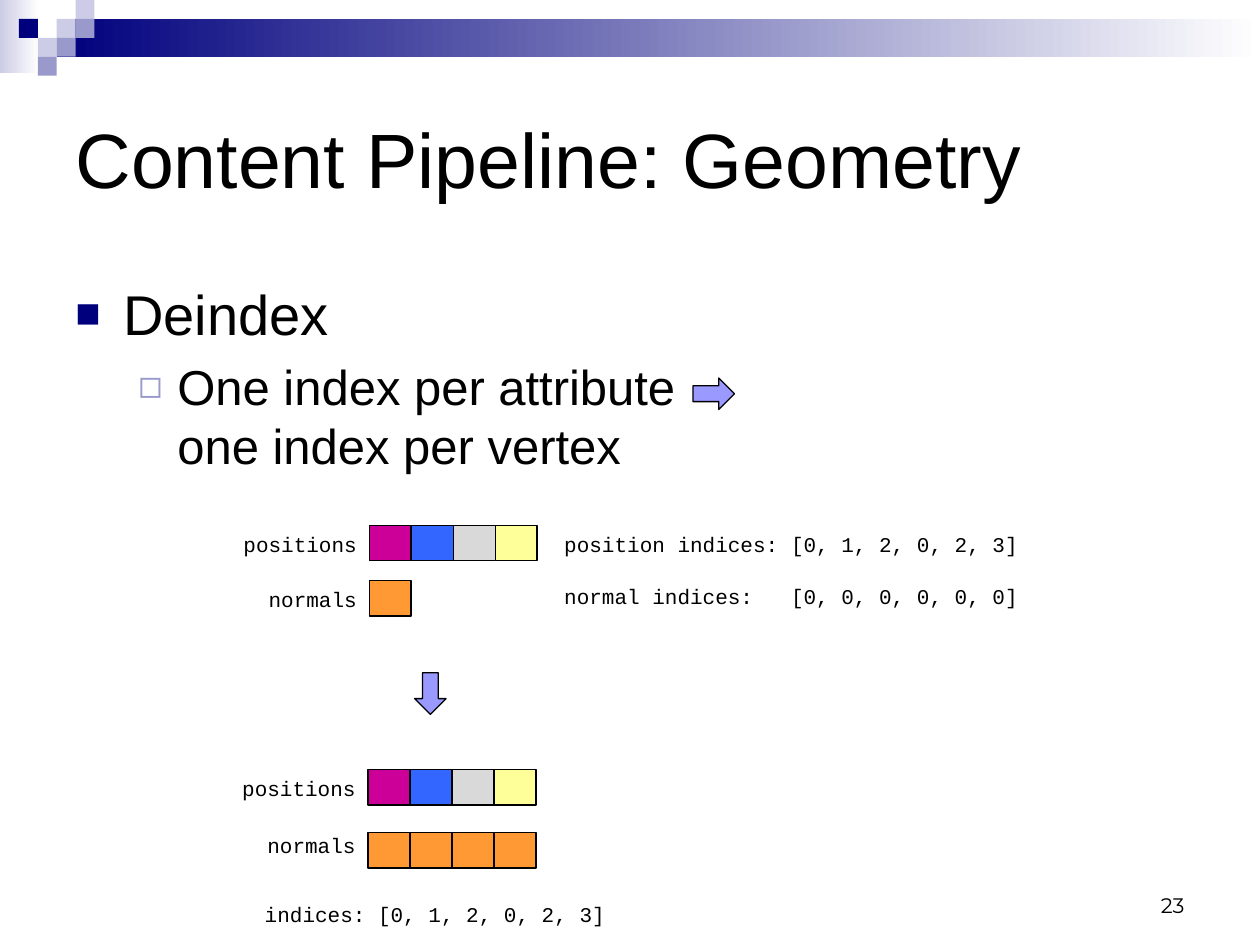
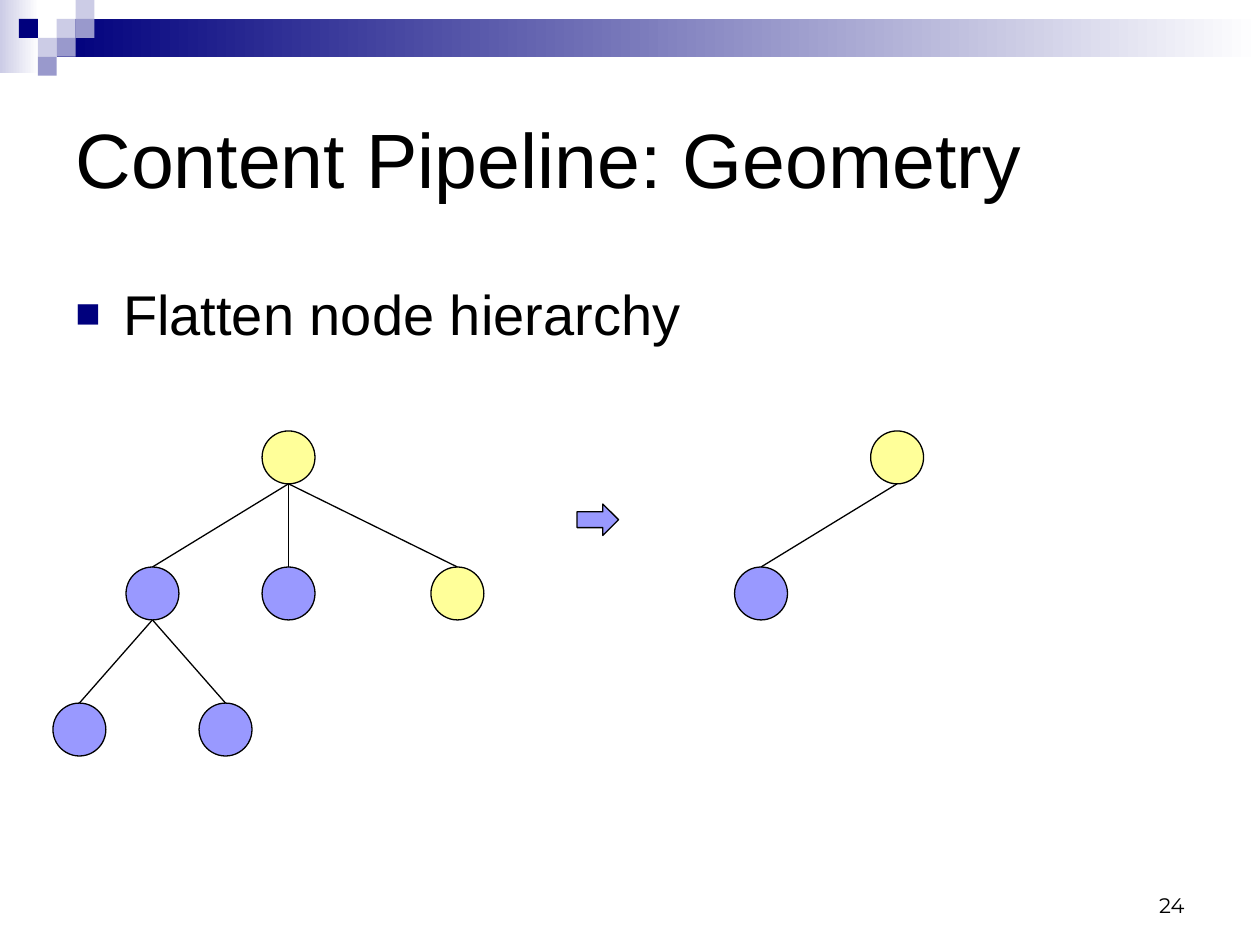
from lxml.etree import SubElement
from pptx import Presentation
from pptx.dml.color import RGBColor
from pptx.enum.shapes import MSO_CONNECTOR, MSO_SHAPE
from pptx.enum.text import MSO_ANCHOR, MSO_AUTO_SIZE, PP_ALIGN
from pptx.oxml.ns import qn
from pptx.util import Inches, Pt

BLACK = RGBColor(0x00, 0x00, 0x00)
WHITE = RGBColor(0xFF, 0xFF, 0xFF)
NAVY = RGBColor(0x00, 0x00, 0x7D)
LAVENDER = RGBColor(0xCC, 0xCC, 0xE6)
GREY_BLUE = RGBColor(0x99, 0x99, 0xCC)
PERIWINKLE = RGBColor(0x99, 0x99, 0xFF)
MAGENTA = RGBColor(0xCC, 0x00, 0x99)
BLUE = RGBColor(0x33, 0x66, 0xFF)
GREY = RGBColor(0xD9, 0xD9, 0xD9)
YELLOW = RGBColor(0xFF, 0xFF, 0x99)
ORANGE = RGBColor(0xFF, 0x99, 0x33)

POSITION_COLORS = [MAGENTA, BLUE, GREY, YELLOW]
TITLE = "Content Pipeline: Geometry"
TITLE_ONLY = 5
CELL_WIDTH, CELL_HEIGHT = 1 / 3, 0.28
ARROW_WIDTH, ARROW_HEIGHT = 0.33, 0.25
NODE_SIZE = 0.42
SQUARE = 0.15

# Per outline level: left margin, hanging indent, size, bullet, its colour and percentage
OUTLINE_LEVELS = [
    (0.38, -0.38, 32, "■", NAVY, 75),
    (0.81, -0.31, 28, "◻", GREY_BLUE, 80),
]


def inches(*lengths):
    return [Inches(length) for length in lengths]


def write(paragraph, text, font="Arial", size=12, align=PP_ALIGN.LEFT):
    paragraph.alignment = align
    run = paragraph.add_run()
    run.text = text
    run.font.name = font
    run.font.size = Pt(size)
    run.font.color.rgb = BLACK


def add_text_frame(slide, box, anchor=MSO_ANCHOR.TOP):
    frame = slide.shapes.add_textbox(*inches(*box)).text_frame
    frame.word_wrap = True
    frame.vertical_anchor = anchor
    return frame


def add_code(slide, box, text, align=PP_ALIGN.RIGHT):
    paragraph = add_text_frame(slide, box).paragraphs[0]
    write(paragraph, text, font="Courier New", align=align)
    return paragraph


def add_shape(slide, preset, box, color, outlined=True):
    shape = slide.shapes.add_shape(preset, *inches(*box))
    shape.shadow.inherit = False
    shape.fill.solid()
    shape.fill.fore_color.rgb = color
    if outlined:
        shape.line.color.rgb = BLACK
        shape.line.width = Pt(0.75)
    else:
        shape.line.fill.background()
    return shape


def add_arrow(slide, left, top, rotation=0):
    box = (left, top, ARROW_WIDTH, ARROW_HEIGHT)
    add_shape(slide, MSO_SHAPE.RIGHT_ARROW, box, PERIWINKLE).rotation = rotation


def add_fading_band(slide, box, color):
    fill = add_shape(slide, MSO_SHAPE.RECTANGLE, box, color, outlined=False).fill
    fill.gradient()
    fill.gradient_angle = 0
    for stop, stop_color in zip(fill.gradient_stops, (color, WHITE)):
        stop.color.rgb = stop_color


def add_header(slide):
    add_fading_band(slide, (0, 0, 0.31, 0.58), LAVENDER)
    add_fading_band(slide, (0.45, 0.15, 9.55, 0.3), NAVY)
    squares = [
        (3, 1, LAVENDER), (4, 0, LAVENDER), (4, 1, GREY_BLUE), (2, 2, LAVENDER),
        (1, 1, NAVY), (3, 2, GREY_BLUE), (2, 3, GREY_BLUE),
    ]
    for column, row, color in squares:
        box = (column * SQUARE, row * SQUARE, SQUARE, SQUARE)
        add_shape(slide, MSO_SHAPE.RECTANGLE, box, color, outlined=False)


def add_base_slide(presentation, number):
    """Add a slide with the shared header, title and page number."""
    slide = presentation.slides.add_slide(presentation.slide_layouts[TITLE_ONLY])
    add_header(slide)
    title = slide.shapes.title
    title.left, title.top, title.width, title.height = inches(0.5, 0.5, 9, 1.5)
    title.text_frame.auto_size = MSO_AUTO_SIZE.NONE
    title.text_frame.vertical_anchor = MSO_ANCHOR.MIDDLE
    write(title.text_frame.paragraphs[0], TITLE, size=44)
    footer = add_text_frame(slide, (7.17, 6.83, 2.33, 0.5), MSO_ANCHOR.BOTTOM)
    write(footer.paragraphs[0], str(number), font="Montserrat", align=PP_ALIGN.RIGHT)
    return slide


def add_outline(slide, box, items):
    """Write one bulleted paragraph for each item; its place gives its level."""
    frame = add_text_frame(slide, box)
    for level, text in enumerate(items):
        margin, indent, size, bullet, color, percent = OUTLINE_LEVELS[level]
        paragraph = frame.add_paragraph() if level else frame.paragraphs[0]
        paragraph.level = level
        write(paragraph, text, size=size)
        paragraph.space_before = Pt(size * 0.2)
        properties = paragraph._p.get_or_add_pPr()
        properties.set("marL", str(Inches(margin)))
        properties.set("indent", str(Inches(indent)))
        bullet_color = SubElement(properties, qn("a:buClr"))
        SubElement(bullet_color, qn("a:srgbClr"), val=str(color))
        SubElement(properties, qn("a:buSzPct"), val=str(percent * 1000))
        SubElement(properties, qn("a:buFont"), typeface="Arial")
        SubElement(properties, qn("a:buChar"), char=bullet)


def add_attribute(slide, left, top, label, colors, label_shift=0):
    """Draw a row of cells from left, with its label ending there."""
    for index, color in enumerate(colors):
        box = (left + index * CELL_WIDTH, top, CELL_WIDTH, CELL_HEIGHT)
        add_shape(slide, MSO_SHAPE.RECTANGLE, box, color)
    add_code(slide, (left - 1.12, top + label_shift, 1.12, 0.3), label)


def add_index_list(slide, left, top, label, values):
    """Write a label and its values, with the values at a tab stop."""
    paragraph = add_code(slide, (left, top, 3.84, 0.3), f"{label}\t{values}", PP_ALIGN.LEFT)
    tabs = SubElement(paragraph._p.get_or_add_pPr(), qn("a:tabLst"))
    SubElement(tabs, qn("a:tab"), pos=str(Inches(1.8)), algn="l")


def add_tree(slide, left, top, nodes, edges):
    """Draw circles at offsets from the box corner and join parents to children."""
    circles = {
        name: add_shape(slide, MSO_SHAPE.OVAL, (left + x, top + y, NODE_SIZE, NODE_SIZE), color)
        for name, (x, y, color) in nodes.items()
    }
    for parent_name, child_name in edges:
        parent, child = circles[parent_name], circles[child_name]
        line = slide.shapes.add_connector(
            MSO_CONNECTOR.STRAIGHT,
            parent.left + parent.width // 2, parent.top + parent.height,
            child.left + child.width // 2, child.top,
        )
        line.end_connect(child, 0)
        line.line.color.rgb = BLACK
        line.line.width = Pt(0.75)
        SubElement(line._element.spPr, qn("a:effectLst"))


def build_deindex_slide(presentation):
    slide = add_base_slide(presentation, 23)
    add_outline(slide, (0.5, 2.17, 5.17, 1.75),
                ["Deindex", "One index per attribute one index per vertex"])
    add_arrow(slide, 5.5, 3)

    add_attribute(slide, 2.93, 4.17, "positions", POSITION_COLORS)
    add_attribute(slide, 2.93, 4.61, "normals", [ORANGE])
    add_index_list(slide, 4.38, 4.17, "position indices:", "[0, 1, 2, 0, 2, 3]")
    add_index_list(slide, 4.38, 4.58, "normal indices:", "[0, 0, 0, 0, 0, 0]")

    add_arrow(slide, 3.25, 5.38, rotation=90)

    add_attribute(slide, 2.92, 6.11, "positions", POSITION_COLORS)
    add_attribute(slide, 2.92, 6.61, "normals", [ORANGE] * 4, label_shift=-0.05)
    add_code(slide, (1.97, 7.11, 2.93, 0.3), "indices: [0, 1, 2, 0, 2, 3]")


def build_hierarchy_slide(presentation):
    slide = add_base_slide(presentation, 24)
    add_outline(slide, (0.5, 2.17, 9, 4.25), ["Flatten node hierarchy"])
    add_tree(
        slide, 0.42, 3.42,
        {
            "root": (1.66, 0, YELLOW),
            "left": (0.58, 1.08, PERIWINKLE),
            "middle": (1.66, 1.08, PERIWINKLE),
            "right": (3, 1.08, YELLOW),
            "left leaf": (0, 2.16, PERIWINKLE),
            "right leaf": (1.16, 2.16, PERIWINKLE),
        },
        [("root", "middle"), ("root", "left"), ("root", "right"),
         ("left", "right leaf"), ("left", "left leaf")],
    )
    add_arrow(slide, 4.58, 4)
    add_tree(
        slide, 5.83, 3.42,
        {"root": (1.08, 0, YELLOW), "child": (0, 1.08, PERIWINKLE)},
        [("root", "child")],
    )


def main():
    presentation = Presentation()
    presentation.slide_width, presentation.slide_height = inches(10, 7.5)
    build_deindex_slide(presentation)
    build_hierarchy_slide(presentation)
    presentation.save("out.pptx")


if __name__ == "__main__":
    main()
